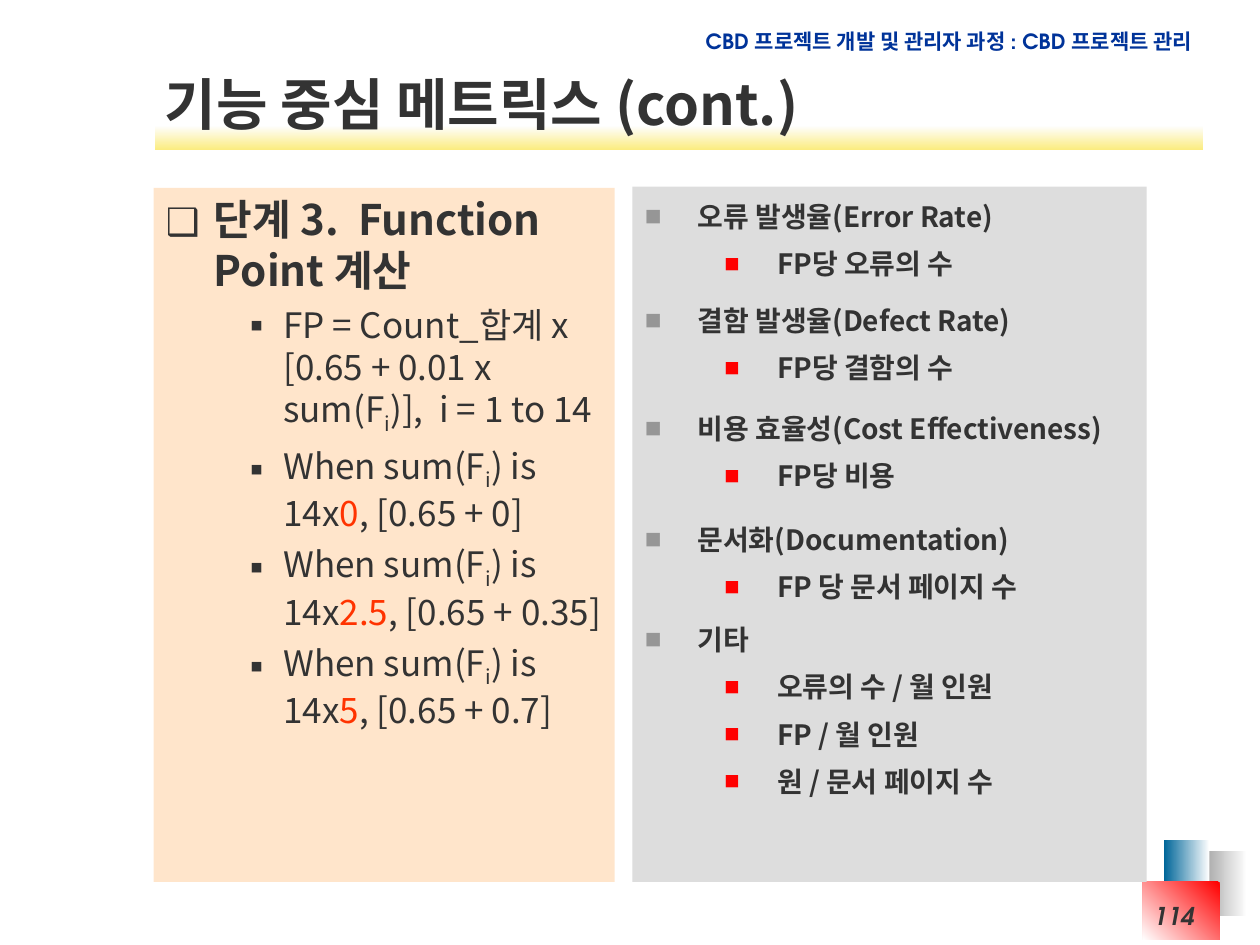
import pptx
import pptx.util
import pptx.dml.color
import pptx.enum.shapes
import pptx.enum.text
import pptx.oxml
import pptx.oxml.ns
from lxml import etree

Pt = pptx.util.Pt
qn = pptx.oxml.ns.qn
ALIGN = pptx.enum.text.PP_ALIGN
ANCHOR = pptx.enum.text.MSO_ANCHOR

# Content
COURSE = "CBD 프로젝트 개발 및 관리자 과정 : CBD 프로젝트 관리"
TITLE = "기능 중심 메트릭스 (cont.)"
PAGE = "114"
STEP = "단계 3.  Function Point 계산"
FORMULA = [("FP = Count_합계 x [0.65 + 0.01 x sum(F", ""), ("i", "sub"),
           (")],  i = 1 to 14", "")]
CASES = [("0", "0"), ("2.5", "0.35"), ("5", "0.7")]
# Metric, its measures, space before the metric
METRICS = [
    ("오류 발생율(Error Rate)", ["FP당 오류의 수"], 0),
    ("결함 발생율(Defect Rate)", ["FP당 결함의 수"], 9.4),
    ("비용 효율성(Cost Effectiveness)", ["FP당 비용"], 11.7),
    ("문서화(Documentation)", ["FP 당 문서 페이지 수"], 13.4),
    ("기타", ["오류의 수 / 월 인원", "FP / 월 인원", "원 / 문서 페이지 수"], 7.1),
]

THEME = {
    "body_font": "Noto Sans CJK KR", "label_font": "TeX Gyre Adventor",
    "text": "333333", "course": "003399", "accent": "FF3300",
    "step_panel": "FFCC99", "metric_panel": "DDDDDD",
    "metric_mark": "969696", "measure_mark": "FF0000",
    "course_size": 12, "title_size": 32, "step_size": 24,
    "case_size": 20, "metric_size": 16, "page_size": 14,
}

# Left, top, width, height, first colour, last colour, clockwise angle
GRADIENTS = [
    (684, 486, 28.8, 37.4, "FFFFFF", "969696", 180),
    (665.3, 480.2, 25.9, 37.4, "FFFFFF", "006699", 180),
    (653, 504, 43.9, 33.1, "FF0000", "FFFFFF", 135),
    (88.6, 72, 599, 13.7, "FEFEFE", "FBEC7F", 90),
]


def rgb(value):
    return pptx.dml.color.RGBColor.from_string(value)


def add_block(left, top, width, height):
    block = slide.shapes.add_shape(pptx.enum.shapes.MSO_SHAPE.RECTANGLE,
                                   Pt(left), Pt(top), Pt(width), Pt(height))
    block.shadow.inherit = False
    block.line.fill.background()
    return block


def add_panel(left, top, width, height, colour, opacity=100):
    panel = add_block(left, top, width, height)
    panel.fill.solid()
    panel.fill.fore_color.rgb = rgb(colour)
    if opacity < 100:
        tint = panel.fill._xPr.find(".//" + qn("a:srgbClr"))
        etree.SubElement(tint, qn("a:alpha"), val=str(opacity * 1000))
    return set_frame(panel, ANCHOR.TOP)


def add_label(left, top, width, height, anchor=ANCHOR.TOP):
    label = slide.shapes.add_textbox(Pt(left), Pt(top), Pt(width), Pt(height))
    return set_frame(label, anchor)


def set_frame(holder, anchor):
    frame = holder.text_frame
    frame.word_wrap = True
    frame.vertical_anchor = anchor
    frame.margin_left = frame.margin_right = Pt(7.2)
    frame.margin_top = frame.margin_bottom = Pt(3.6)
    return frame


def write(frame, text, *, size, font=THEME["body_font"], colour=THEME["text"],
          bold=True, italic=False, align=ALIGN.LEFT, level=0, before=0,
          spacing=None, bullet=None, indent=(0, 0)):
    """Add a paragraph; text is a string or a list of (text, style) runs.

    bullet is (character, colour, percent); indent is (margin, hanging).
    """
    first = frame.paragraphs[0]
    paragraph = frame.add_paragraph() if first.runs else first
    paragraph.alignment = align
    paragraph.level = level
    paragraph.space_before = Pt(before)
    if spacing:
        paragraph.line_spacing = spacing
    if bullet:
        mark, mark_colour, percent = bullet
        props = paragraph._p.get_or_add_pPr()
        props.set("marL", str(Pt(indent[0])))
        props.set("indent", str(-Pt(indent[1])))
        tint = etree.SubElement(props, qn("a:buClr"))
        etree.SubElement(tint, qn("a:srgbClr"), val=mark_colour)
        etree.SubElement(props, qn("a:buSzPct"), val=str(percent * 1000))
        etree.SubElement(props, qn("a:buFont"), typeface=THEME["body_font"])
        etree.SubElement(props, qn("a:buChar"), char=mark)
    for words, style in [(text, "")] if isinstance(text, str) else text:
        run = paragraph.add_run()
        run.text = words
        run.font.size = Pt(size)
        run.font.bold = bold
        run.font.italic = italic
        run.font.color.rgb = rgb(THEME["accent"] if style == "accent" else colour)
        run.font.name = font
        run_props = run._r.get_or_add_rPr()
        etree.SubElement(run_props, qn("a:ea"), typeface=THEME["body_font"])
        if style == "sub":
            run_props.set("baseline", "-25000")


deck = pptx.Presentation()
deck.slide_width, deck.slide_height = Pt(720), Pt(540)
slide = deck.slides.add_slide(deck.slide_layouts[6])

# Corner blocks and title underline
for *place, start, end, angle in GRADIENTS:
    fill = add_block(*place).fill
    fill.gradient()
    fill.gradient_angle = 360 - angle
    for stop, stop_colour in zip(fill.gradient_stops, (start, end)):
        stop.color.rgb = rgb(stop_colour)

# Course name and title
write(add_label(388.8, 13, 299.5, 21.6), COURSE, size=THEME["course_size"],
      font=THEME["label_font"], colour=THEME["course"], align=ALIGN.RIGHT)
write(add_label(87.1, 36.7, 599, 43.9, ANCHOR.MIDDLE), TITLE,
      size=THEME["title_size"])

# Function point calculation
calculation = add_panel(87.8, 107.3, 263.5, 396.7, THEME["step_panel"], 50)
write(calculation, STEP, size=THEME["step_size"],
      bullet=("❑", THEME["text"], 90), indent=(27.4, 27.4))
cases = [[("When sum(F", ""), ("i", "sub"), (") is 14x", ""),
          (factor, "accent"), (f", [0.65 + {share}]", "")]
         for factor, share in CASES]
for line in [FORMULA] + cases:
    write(calculation, line, size=THEME["case_size"], bold=False, level=1,
          before=5, bullet=("▪", THEME["text"], 100), indent=(67, 25.2))

# Metrics per function point
metrics = add_panel(361.4, 106.6, 293.8, 397.4, THEME["metric_panel"])
for metric, measures, gap in METRICS:
    write(metrics, metric, size=THEME["metric_size"], before=gap, spacing=1.2,
          bullet=("■", THEME["metric_mark"], 60), indent=(30.2, 30.2))
    for measure in measures:
        write(metrics, measure, size=THEME["metric_size"], level=1, before=4,
              spacing=1.2, bullet=("■", THEME["measure_mark"], 55),
              indent=(75.6, 30.2))

# Page number
write(add_label(601.2, 511.2, 88.6, 28.8), PAGE, size=THEME["page_size"],
      font=THEME["label_font"], italic=True, align=ALIGN.RIGHT)

deck.save("out.pptx")
